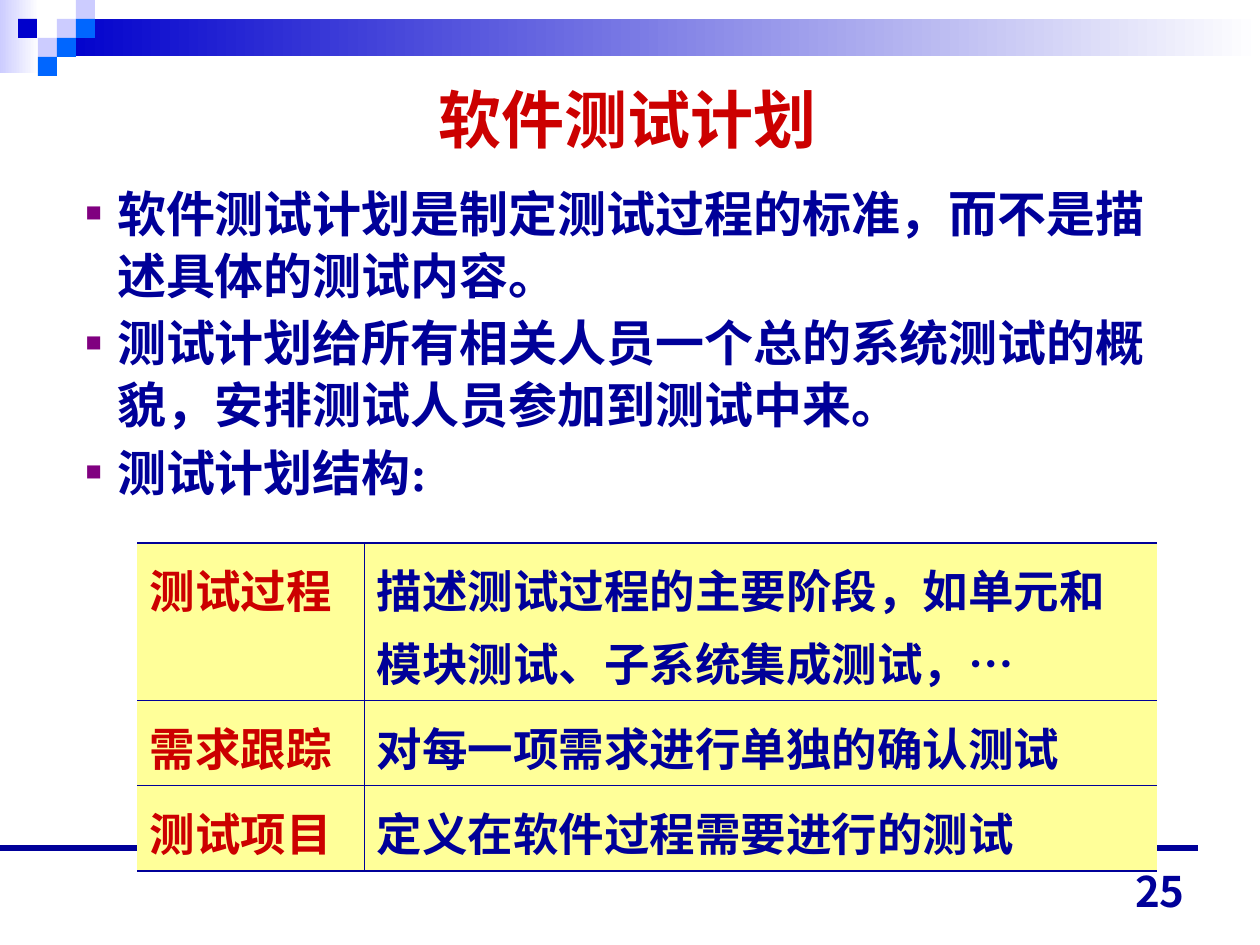
from lxml import etree
from pptx import Presentation, util as u
from pptx.dml.color import RGBColor
from pptx.enum import shapes, text
from pptx.oxml import ns

NAVY = RGBColor(0x00, 0x00, 0x99)
RED = RGBColor(0xCC, 0x00, 0x00)
WHITE = RGBColor(0xFF, 0xFF, 0xFF)
LILAC = RGBColor(0xCC, 0xCC, 0xFF)
BLUE = RGBColor(0x00, 0x00, 0xCC)
SKY = RGBColor(0x00, 0x66, 0xFF)
CREAM = RGBColor(0xFF, 0xFF, 0x99)
PURPLE = RGBColor(0x80, 0x00, 0x80)
SANS, SERIF = "Noto Sans CJK JP", "Times New Roman"


def px(*nums):
    return [u.Emu(n * 914400 // 126) for n in nums]


def write(frame, *lines, size, color, font=SERIF, align=None, lead=None, gap=0, bullet=False):
    frame.word_wrap = True
    for i, line in enumerate(lines):
        para = frame.paragraphs[0] if i == 0 else frame.add_paragraph()
        para.alignment = align
        para.line_spacing = lead
        para.space_before = u.Pt(gap if i else 0)
        if bullet:
            props = para._p.get_or_add_pPr()
            props.set("marL", "228600")
            props.set("indent", "-228600")
            tint = etree.SubElement(props, ns.qn("a:buClr"))
            etree.SubElement(tint, ns.qn("a:srgbClr"), val=str(PURPLE))
            etree.SubElement(props, ns.qn("a:buSzPct"), val="55000")
            etree.SubElement(props, ns.qn("a:buFont"), typeface=SERIF)
            etree.SubElement(props, ns.qn("a:buChar"), char="■")
        run = para.add_run()
        run.text = line
        run.font.size = u.Pt(size)
        run.font.bold = True
        run.font.name = font
        run.font.color.rgb = color
        etree.SubElement(run._r.get_or_add_rPr(), ns.qn("a:ea"), typeface=SANS)


deck = Presentation()
deck.slide_width, deck.slide_height = px(1260, 945)
slide = deck.slides.add_slide(deck.slide_layouts[1])

# Top band: two fades, then the checker squares
band = [
    (0, 0, 39, 73, LILAC, True),
    (57, 19, 1203, 37, BLUE, True),
]
for x, y, color in [(57, 19, LILAC), (76, 0, LILAC), (76, 19, SKY), (38, 38, LILAC),
                    (18, 19, BLUE), (57, 38, SKY), (38, 57, SKY)]:
    band.append((x, y, 19, 19, color, False))
for x, y, w, h, color, fade in band:
    box = slide.shapes.add_shape(shapes.MSO_SHAPE.RECTANGLE, *px(x, y, w, h))
    box.shadow.inherit = False
    box.line.fill.background()
    if fade:
        box.fill.gradient()
        box.fill.gradient_angle = 180
        for stop, tone in zip(box.fill.gradient_stops, (WHITE, color)):
            stop.color.rgb = tone
    else:
        box.fill.solid()
        box.fill.fore_color.rgb = color

# Footer rule
rule = slide.shapes.add_connector(shapes.MSO_CONNECTOR.STRAIGHT, *px(0, 848, 1198, 848))
rule.line.color.rgb = NAVY
rule.line.width = u.Pt(3.25)
etree.SubElement(rule._element.spPr, ns.qn("a:effectLst"))

# Title and list
title, body = slide.placeholders
for hold, spot in ((title, (92, 53, 1071, 131)), (body, (73, 174, 1121, 343))):
    hold.left, hold.top, hold.width, hold.height = px(*spot)
    hold.text_frame.auto_size = text.MSO_AUTO_SIZE.NONE
title.text_frame.vertical_anchor = text.MSO_ANCHOR.MIDDLE
write(title.text_frame, "软件测试计划", size=36, color=RED, font=SANS,
      align=text.PP_ALIGN.CENTER)
write(body.text_frame,
      "软件测试计划是制定测试过程的标准，而不是描述具体的测试内容。",
      "测试计划给所有相关人员一个总的系统测试的概貌，安排测试人员参加到测试中来。",
      "测试计划结构:",
      size=28, color=NAVY, lead=1.05, gap=3.5, bullet=True)

# Plan table
rows = [
    ("测试过程", "描述测试过程的主要阶段，如单元和模块测试、子系统集成测试，…"),
    ("需求跟踪", "对每一项需求进行单独的确认测试"),
    ("测试项目", "定义在软件过程需要进行的测试"),
]
grid = slide.shapes.add_table(3, 2, *px(137, 543, 1020, 280)).table
grid.first_row = grid.horz_banding = False
for col, width in zip(grid.columns, px(227, 793)):
    col.width = width
for row, height in zip(grid.rows, px(134, 73, 73)):
    row.height = height
for r, row in enumerate(rows):
    for c, words in enumerate(row):
        cell = grid.cell(r, c)
        cell.fill.solid()
        cell.fill.fore_color.rgb = CREAM
        write(cell.text_frame, words, size=26, color=NAVY if c else RED, lead=1.1)
        # Borders: thick above and below, thin inside, open at the sides
        edges = {"lnL": 0.45 * c, "lnR": 0.45 * (1 - c),
                 "lnT": 0.45 if r else 1.08, "lnB": 0.45 if r < 2 else 1.08}
        props = cell._tc.get_or_add_tcPr()
        for i, (name, width) in enumerate(edges.items()):
            edge = etree.Element(ns.qn("a:" + name), w=str(u.Pt(width)))
            props.insert(i, edge)
            if width:
                ink = etree.SubElement(edge, ns.qn("a:solidFill"))
                etree.SubElement(ink, ns.qn("a:srgbClr"), val=str(NAVY))
            else:
                etree.SubElement(edge, ns.qn("a:noFill"))

# Page number
page = slide.shapes.add_textbox(*px(903, 859, 294, 63)).text_frame
page.vertical_anchor = text.MSO_ANCHOR.BOTTOM
write(page, "25", size=24, color=NAVY, font=SANS, align=text.PP_ALIGN.RIGHT)

deck.save("out.pptx")
